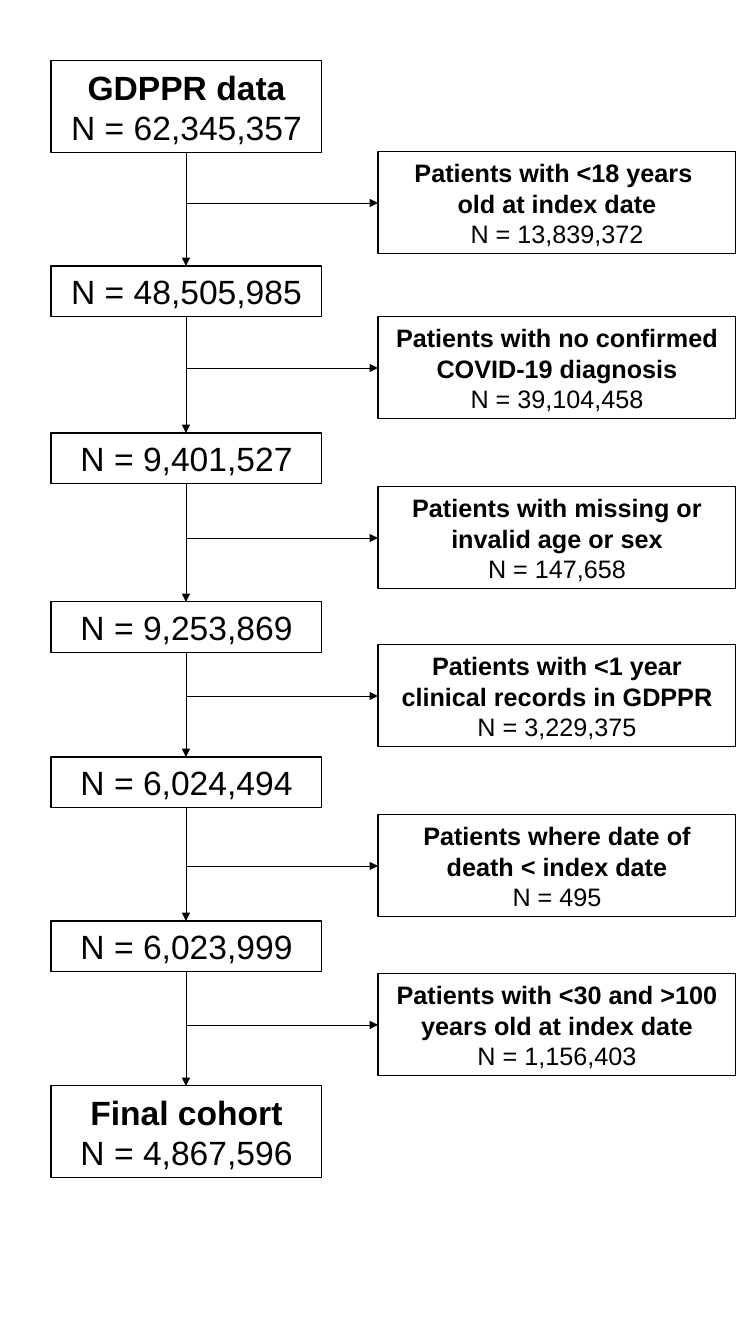
from pptx import Presentation
from pptx.dml.color import RGBColor
from pptx.enum.shapes import MSO_CONNECTOR, MSO_SHAPE
from pptx.enum.text import MSO_ANCHOR, PP_ALIGN
from pptx.oxml.ns import qn
from pptx.util import Pt
from lxml import etree

RECTANGLE = MSO_SHAPE.RECTANGLE
STRAIGHT, ELBOW = MSO_CONNECTOR.STRAIGHT, MSO_CONNECTOR.ELBOW
CENTER, MIDDLE = PP_ALIGN.CENTER, MSO_ANCHOR.MIDDLE
BLACK = RGBColor(0, 0, 0)

SCALE = 914400 / 100.8
PAGE_WIDTH, PAGE_HEIGHT = 756, 1344
COHORT_LEFT, COHORT_WIDTH = 51, 271
COHORT_CENTER = COHORT_LEFT + COHORT_WIDTH // 2
EXCLUDED_LEFT, EXCLUDED_WIDTH, EXCLUDED_HEIGHT = 378, 358, 102
TITLED_HEIGHT, PLAIN_HEIGHT = 92, 51

# Top, heading, count
COHORTS = [
    (61, "GDPPR data", "62,345,357"),
    (266, "", "48,505,985"),
    (433, "", "9,401,527"),
    (602, "", "9,253,869"),
    (757, "", "6,024,494"),
    (921, "", "6,023,999"),
    (1086, "Final cohort", "4,867,596"),
]
EXCLUSIONS = [
    (152, "Patients with <18 years \vold at index date", "13,839,372"),
    (317, "Patients with no confirmed COVID-19 diagnosis", "39,104,458"),
    (487, "Patients with missing or invalid age or sex", "147,658"),
    (645, "Patients with <1 year clinical records in GDPPR", "3,229,375"),
    (815, "Patients where date of death < index date", "495"),
    (974, "Patients with <30 and >100 years old at index date", "1,156,403"),
]


def emu(pixels):
    return round(pixels * SCALE)


def write_line(para, text, size, bold):
    para.text = text
    para.alignment = CENTER
    for span in para.runs:
        span.font.color.rgb = BLACK
        formats = {"name": "Arial", "size": Pt(size), "bold": bold}
        for name, value in formats.items():
            setattr(span.font, name, value)


def add_box(page, left, top, width, height, heading, count, size):
    box = page.shapes.add_shape(RECTANGLE, *map(emu, (left, top, width, height)))
    box.shadow.inherit = False
    box.fill.background()
    box.line.color.rgb = BLACK
    box.line.width = Pt(0.75)
    frame = box.text_frame
    frame.word_wrap = True
    frame.vertical_anchor = MIDDLE
    para = frame.paragraphs[0]
    if heading:
        write_line(para, heading, size, True)
        para = frame.add_paragraph()
    write_line(para, f"N = {count}", size, False)


def add_arrow(page, kind, start, end):
    arrow = page.shapes.add_connector(kind, *map(emu, start + end))
    arrow.line.color.rgb = BLACK
    arrow.line.width = Pt(0.5)
    properties = arrow.element.spPr
    line = properties.find(qn("a:ln"))
    etree.SubElement(line, qn("a:tailEnd"), type="triangle")
    etree.SubElement(properties, qn("a:effectLst"))
    return arrow


def add_branch(page, start, end):
    """Elbow arrow that runs down first, then right."""
    arrow = add_arrow(page, ELBOW, start, end)
    run, drop = end[0] - start[0], end[1] - start[1]
    # The frame is turned a quarter, so its width is the drop
    arrow.left = emu((start[0] + end[0] - drop) / 2)
    arrow.top = emu((start[1] + end[1] - run) / 2)
    arrow.width, arrow.height = emu(drop), emu(run)
    properties = arrow.element.spPr
    turn = properties.find(qn("a:xfrm"))
    turn.set("rot", "16200000")
    turn.set("flipH", "1")
    properties.find(qn("a:prstGeom")).set("prst", "bentConnector2")


def cohort_height(heading):
    return TITLED_HEIGHT if heading else PLAIN_HEIGHT


def main():
    deck = Presentation()
    deck.slide_width, deck.slide_height = emu(PAGE_WIDTH), emu(PAGE_HEIGHT)
    page = deck.slides.add_slide(deck.slide_layouts[6])

    # Remaining cohorts
    for top, heading, count in COHORTS:
        add_box(page, COHORT_LEFT, top, COHORT_WIDTH, cohort_height(heading),
                heading, count, 24)

    # Excluded patients
    for top, heading, count in EXCLUSIONS:
        add_box(page, EXCLUDED_LEFT, top, EXCLUDED_WIDTH, EXCLUDED_HEIGHT,
                heading, count, 18)

    # Arrows from each cohort to the next one and to its exclusion
    for cohort, following, exclusion in zip(COHORTS, COHORTS[1:], EXCLUSIONS):
        start = (COHORT_CENTER, cohort[0] + cohort_height(cohort[1]))
        add_arrow(page, STRAIGHT, start, (COHORT_CENTER, following[0]))
        middle = exclusion[0] + EXCLUDED_HEIGHT // 2
        add_branch(page, start, (EXCLUDED_LEFT, middle))

    deck.save("out.pptx")


main()
